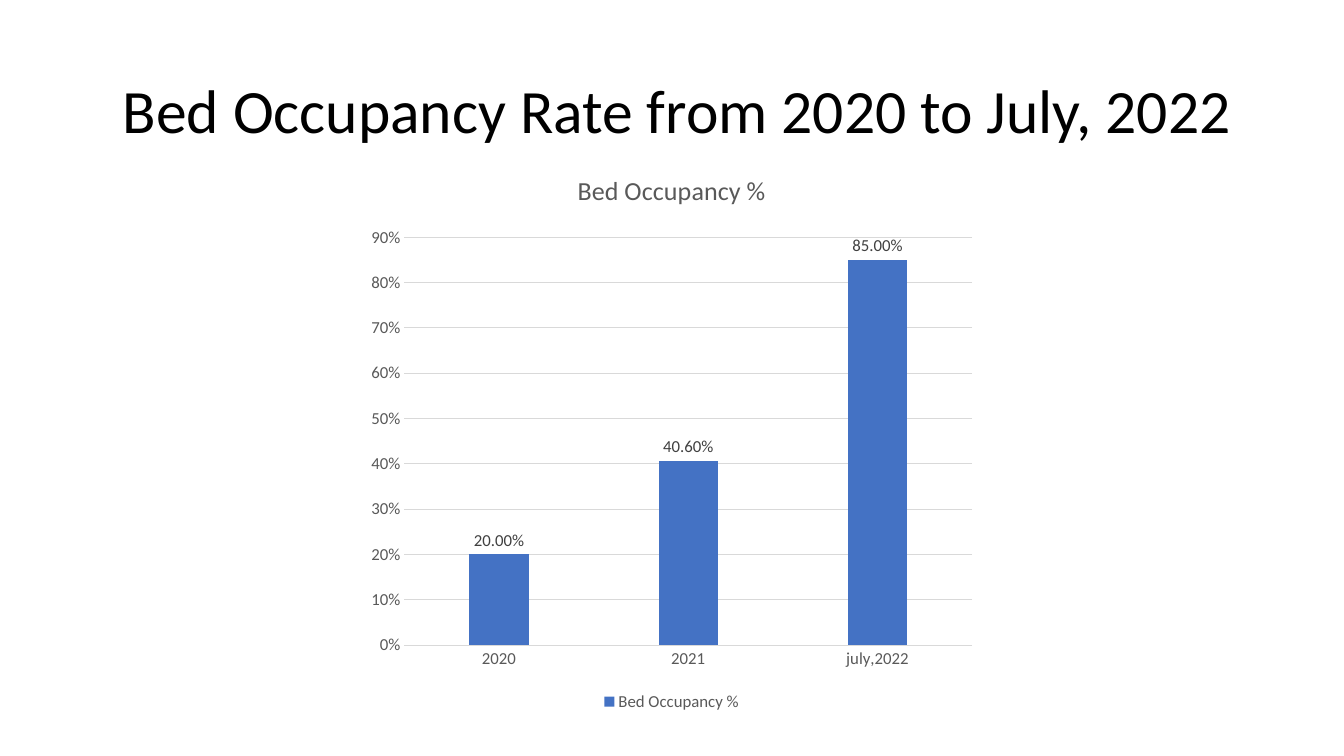
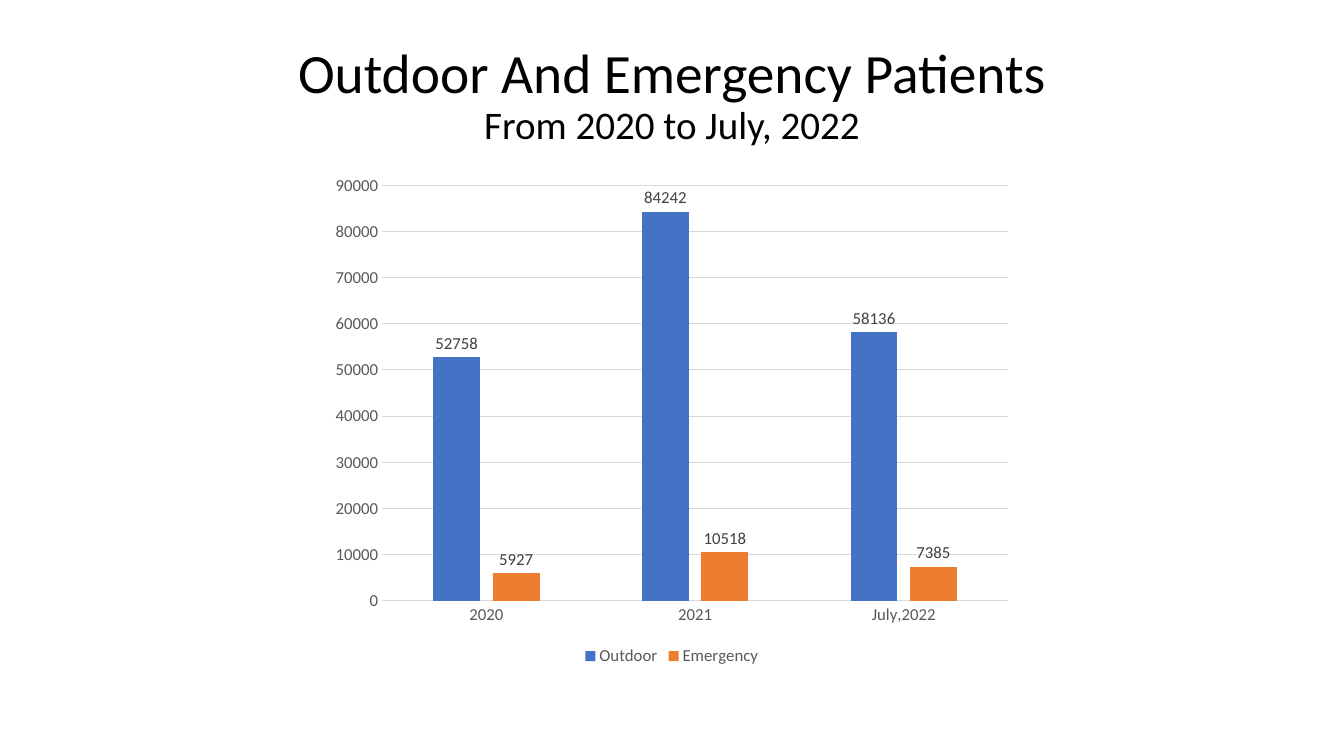
from dataclasses import dataclass

from pptx import Presentation
from pptx.chart.axis import CategoryAxis, ValueAxis
from pptx.chart.chart import Chart
from pptx.chart.data import CategoryChartData
from pptx.chart.series import BarSeries
from pptx.dml.color import RGBColor
from pptx.enum.chart import XL_CHART_TYPE, XL_LABEL_POSITION, XL_LEGEND_POSITION, XL_TICK_MARK
from pptx.enum.text import MSO_ANCHOR, PP_ALIGN
from pptx.slide import Slide
from pptx.text.text import Font
from pptx.util import Pt


@dataclass(frozen=True)
class Theme:
    font: str = "Calibri"
    title: RGBColor = RGBColor(0x00, 0x00, 0x00)
    axis_text: RGBColor = RGBColor(0x59, 0x59, 0x59)
    label_text: RGBColor = RGBColor(0x40, 0x40, 0x40)
    grid: RGBColor = RGBColor(0xD9, 0xD9, 0xD9)
    series: tuple[RGBColor, ...] = (RGBColor(0x44, 0x72, 0xC4), RGBColor(0xED, 0x7D, 0x31))
    chart_size: float = 12
    chart_title_size: float = 18.6
    grid_width: float = 0.75


@dataclass(frozen=True)
class Area:
    left: float
    top: float
    width: float
    height: float

    def lengths(self) -> tuple[Pt, Pt, Pt, Pt]:
        return Pt(self.left), Pt(self.top), Pt(self.width), Pt(self.height)


@dataclass(frozen=True)
class TitleLine:
    text: str
    size: float


@dataclass(frozen=True)
class ColumnSeries:
    name: str
    values: tuple[float, ...]


@dataclass(frozen=True)
class ChartPage:
    title_area: Area
    title_lines: tuple[TitleLine, ...]
    chart_area: Area
    categories: tuple[str, ...]
    series: tuple[ColumnSeries, ...]
    axis_maximum: float
    axis_step: float
    axis_format: str = "General"
    label_format: str = "General"
    chart_title: str = ""


THEME = Theme()

PAGES = (
    ChartPage(
        title_area=Area(70, 29, 828, 104),
        title_lines=(TitleLine("Bed Occupancy Rate from 2020 to July, 2022", 44),),
        chart_area=Area(256.3, 108, 447, 403.2),
        categories=("2020", "2021", "july,2022"),
        series=(ColumnSeries("Bed Occupancy %", (0.2, 0.406, 0.85)),),
        axis_maximum=0.9,
        axis_step=0.1,
        axis_format="0%",
        label_format="0.00%",
        chart_title="Bed Occupancy %",
    ),
    ChartPage(
        title_area=Area(66, 27, 828, 84),
        title_lines=(
            TitleLine("Outdoor And Emergency Patients", 39.6),
            TitleLine("From 2020 to July, 2022", 27.9),
        ),
        chart_area=Area(229.7, 118, 500.4, 360.7),
        categories=("2020", "2021", "July,2022"),
        series=(
            ColumnSeries("Outdoor", (52758, 84242, 58136)),
            ColumnSeries("Emergency", (5927, 10518, 7385)),
        ),
        axis_maximum=90000,
        axis_step=10000,
    ),
)


def style_font(font: Font, size: float, color: RGBColor) -> None:
    font.name = THEME.font
    font.size = Pt(size)
    font.bold = False
    font.color.rgb = color


def add_title(slide: Slide, page: ChartPage) -> None:
    frame = slide.shapes.add_textbox(*page.title_area.lengths()).text_frame
    frame.word_wrap = True
    frame.vertical_anchor = MSO_ANCHOR.MIDDLE
    frame.text = "\n".join(line.text for line in page.title_lines)
    for paragraph, line in zip(frame.paragraphs, page.title_lines):
        paragraph.alignment = PP_ALIGN.CENTER
        paragraph.line_spacing = 0.9
        for span in paragraph.runs:
            style_font(span.font, line.size, THEME.title)


def style_axis(axis: CategoryAxis | ValueAxis) -> None:
    axis.major_tick_mark = XL_TICK_MARK.NONE
    axis.minor_tick_mark = XL_TICK_MARK.NONE
    style_font(axis.tick_labels.font, THEME.chart_size, THEME.axis_text)


def style_axes(chart: Chart, page: ChartPage) -> None:
    category_axis, value_axis = chart.category_axis, chart.value_axis
    style_axis(category_axis)
    style_axis(value_axis)
    value_axis.minimum_scale = 0
    value_axis.maximum_scale = page.axis_maximum
    value_axis.major_unit = page.axis_step
    value_axis.tick_labels.number_format = page.axis_format
    value_axis.tick_labels.number_format_is_linked = False
    value_axis.format.line.fill.background()
    value_axis.has_major_gridlines = True
    for line in (category_axis.format.line, value_axis.major_gridlines.format.line):
        line.color.rgb = THEME.grid
        line.width = Pt(THEME.grid_width)


def style_series(series: BarSeries, color: RGBColor, label_format: str) -> None:
    series.invert_if_negative = False
    series.format.fill.solid()
    series.format.fill.fore_color.rgb = color
    labels = series.data_labels
    labels.show_value = True
    labels.position = XL_LABEL_POSITION.OUTSIDE_END
    labels.number_format = label_format
    labels.number_format_is_linked = False
    style_font(labels.font, THEME.chart_size, THEME.label_text)


def add_column_chart(slide: Slide, page: ChartPage) -> None:
    data = CategoryChartData(number_format=page.label_format)
    data.categories = page.categories
    for series in page.series:
        data.add_series(series.name, series.values)
    chart = slide.shapes.add_chart(
        XL_CHART_TYPE.COLUMN_CLUSTERED, *page.chart_area.lengths(), data
    ).chart
    style_font(chart.font, THEME.chart_size, THEME.axis_text)

    chart.has_title = bool(page.chart_title)
    if page.chart_title:
        frame = chart.chart_title.text_frame
        frame.text = page.chart_title
        style_font(frame.paragraphs[0].runs[0].font, THEME.chart_title_size, THEME.axis_text)
        chart.chart_title.include_in_layout = False

    chart.has_legend = True
    chart.legend.position = XL_LEGEND_POSITION.BOTTOM
    chart.legend.include_in_layout = False
    style_font(chart.legend.font, THEME.chart_size, THEME.axis_text)

    style_axes(chart, page)
    plot = chart.plots[0]
    plot.gap_width = 219
    plot.overlap = -27
    plot.vary_by_categories = False
    for series, color in zip(plot.series, THEME.series):
        style_series(series, color, page.label_format)


def main() -> None:
    deck = Presentation()
    deck.slide_width, deck.slide_height = Pt(960), Pt(540)
    blank_layout = deck.slide_layouts[6]
    for page in PAGES:
        slide = deck.slides.add_slide(blank_layout)
        add_title(slide, page)
        add_column_chart(slide, page)
    deck.save("out.pptx")


if __name__ == "__main__":
    main()
